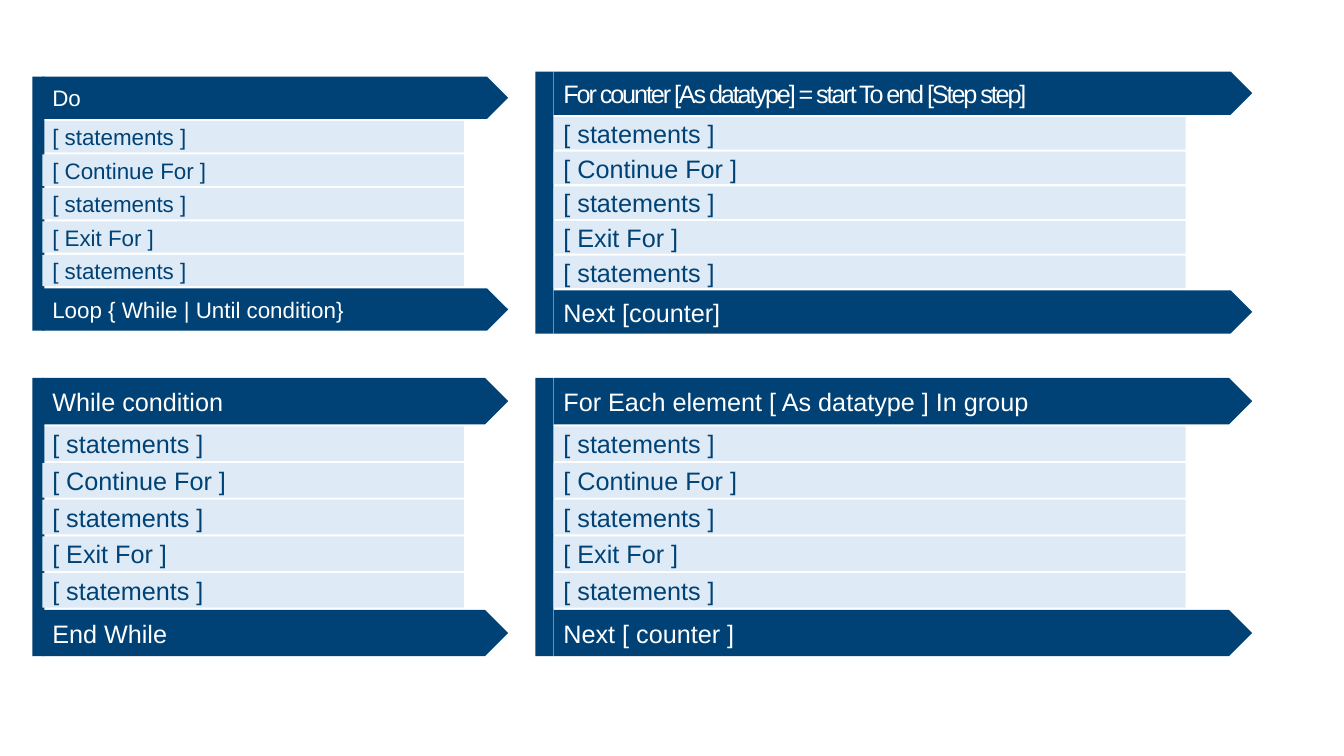
from dataclasses import dataclass

from pptx import Presentation
from pptx.dml.color import RGBColor
from pptx.enum.shapes import MSO_SHAPE
from pptx.enum.text import MSO_ANCHOR, PP_ALIGN
from pptx.util import Inches, Pt

ARROW = MSO_SHAPE.PENTAGON
BAR = MSO_SHAPE.RECTANGLE
MIDDLE = MSO_ANCHOR.MIDDLE
LEFT = PP_ALIGN.LEFT
BLANK_LAYOUT = 6


@dataclass(frozen=True)
class Theme:
    """Colours, font and type sizes of the slide."""
    navy: RGBColor = RGBColor(0x00, 0x42, 0x75)
    pale: RGBColor = RGBColor(0xDE, 0xEB, 0xF7)
    white: RGBColor = RGBColor(0xFF, 0xFF, 0xFF)
    font: str = "Arial"
    body: int = 18
    small: int = 16


@dataclass(frozen=True)
class Column:
    """Horizontal measures shared by the loops of one column, in inches."""
    spine_left: float
    spine_width: float
    left: float
    arrow_width: float
    row_width: float


@dataclass(frozen=True)
class Loop:
    """One loop construct: its place, its opening and its closing line."""
    column: Column
    top: float
    height: float
    arrow_height: float
    opening: str
    closing: str
    size: int
    spacing: float = 0


THEME = Theme()
GAP = 0.02
STATEMENTS = ("[ statements ]", "[ Continue For ]", "[ statements ]",
              "[ Exit For ]", "[ statements ]")
NARROW = Column(0.32, 0.12, 0.42, 4.62, 4.18)
WIDE = Column(5.31, 0.18, 5.49, 6.93, 6.27)
LOOPS = (
    Loop(WIDE, 0.71, 2.6, 0.43,
         "For counter [As datatype] = start To end [Step step]",
         "Next [counter]", THEME.body, -1.5),
    Loop(WIDE, 3.75, 2.76, 0.46,
         "For Each element [ As datatype ] In group",
         "Next [ counter ]", THEME.body),
    Loop(NARROW, 3.75, 2.76, 0.46,
         "While condition", "End While", THEME.body),
    Loop(NARROW, 0.76, 2.52, 0.42,
         "Do", "Loop { While | Until condition}", THEME.small),
)


def apply_format(target, values):
    """Set each attribute named in values on target."""
    for name, value in values.items():
        setattr(target, name, value)


def add_box(group, kind, place, fill):
    """Add a flat, borderless shape at place (left, top, width, height)."""
    box = group.shapes.add_shape(kind, *map(Inches, place))
    box.shadow.inherit = False
    box.fill.solid()
    box.fill.fore_color.rgb = fill
    box.line.fill.background()
    return box


def write_line(box, text, size, color, spacing=0):
    """Write one line of code, left aligned and vertically centred."""
    apply_format(box.text_frame, {"word_wrap": True, "vertical_anchor": MIDDLE,
                                  "margin_top": 0, "margin_bottom": 0})
    para = box.text_frame.paragraphs[0]
    para.alignment = LEFT
    span = para.add_run()
    span.text = text
    apply_format(span.font, {"name": THEME.font, "size": Pt(size)})
    span.font.color.rgb = color
    if spacing:
        span._r.get_or_add_rPr().set("spc", str(round(spacing * 100)))


def add_arrow(group, loop, top, text, spacing=0):
    """Add the opening or closing arrow of a loop."""
    place = (loop.column.left, top, loop.column.arrow_width, loop.arrow_height)
    box = add_box(group, ARROW, place, THEME.navy)
    write_line(box, text, loop.size, THEME.white, spacing)


def add_spine(group, loop):
    """Add the vertical bar that joins the two arrows."""
    column = loop.column
    place = (column.spine_left, loop.top, column.spine_width, loop.height)
    add_box(group, BAR, place, THEME.navy)


def add_loop(page, loop):
    """Add a loop as a group, its rows evenly spread between the arrows."""
    group = page.shapes.add_group_shape()
    column = loop.column
    pitch = (loop.height - 2 * loop.arrow_height - GAP) / len(STATEMENTS)
    first_top = loop.top + loop.arrow_height + GAP
    add_arrow(group, loop, loop.top, loop.opening, loop.spacing)
    for index, statement in enumerate(STATEMENTS):
        place = (column.left, first_top + index * pitch,
                 column.row_width, pitch - GAP)
        row = add_box(group, BAR, place, THEME.pale)
        write_line(row, statement, loop.size, THEME.navy)
        if index == 0:
            add_spine(group, loop)
    closing_top = loop.top + loop.height - loop.arrow_height
    add_arrow(group, loop, closing_top, loop.closing)


def main():
    """Build the slide of loop constructs and save it."""
    deck = Presentation()
    apply_format(deck, {"slide_width": Inches(13.33),
                        "slide_height": Inches(7.5)})
    page = deck.slides.add_slide(deck.slide_layouts[BLANK_LAYOUT])
    for loop in LOOPS:
        add_loop(page, loop)
    deck.save("out.pptx")


main()
